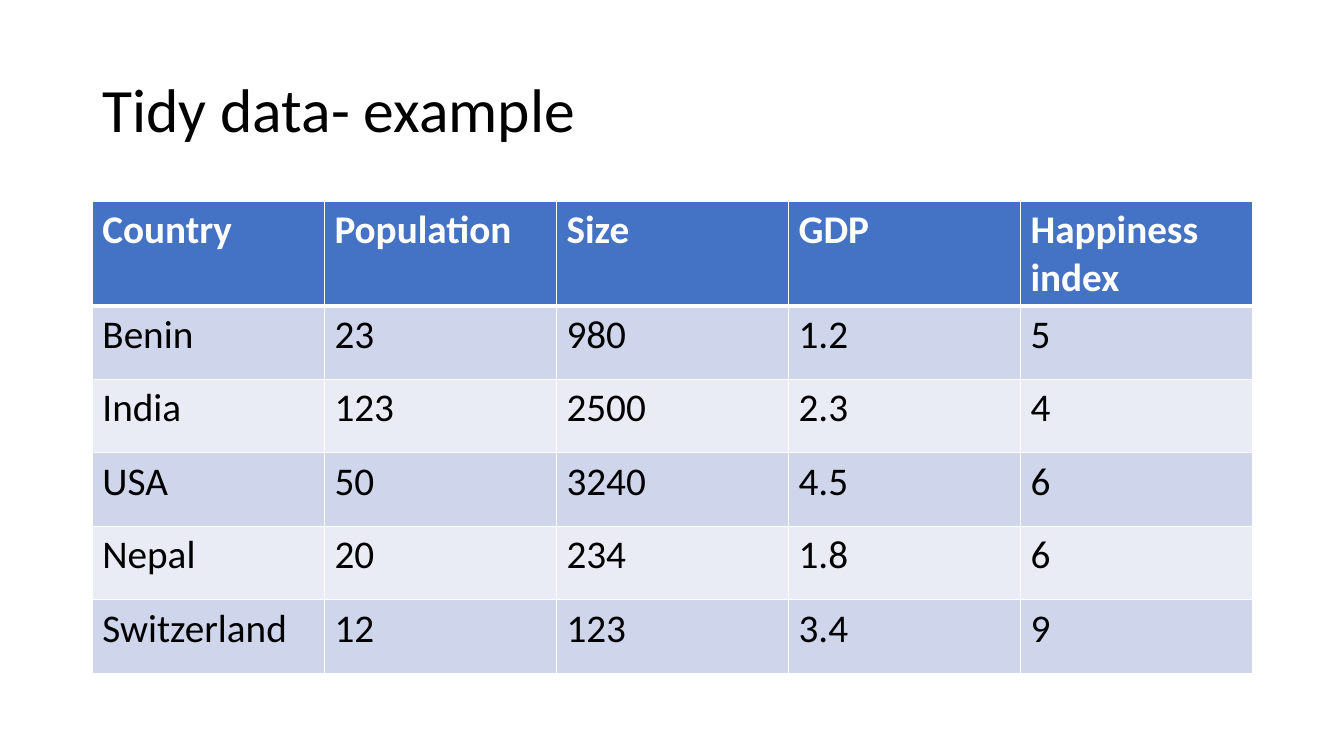
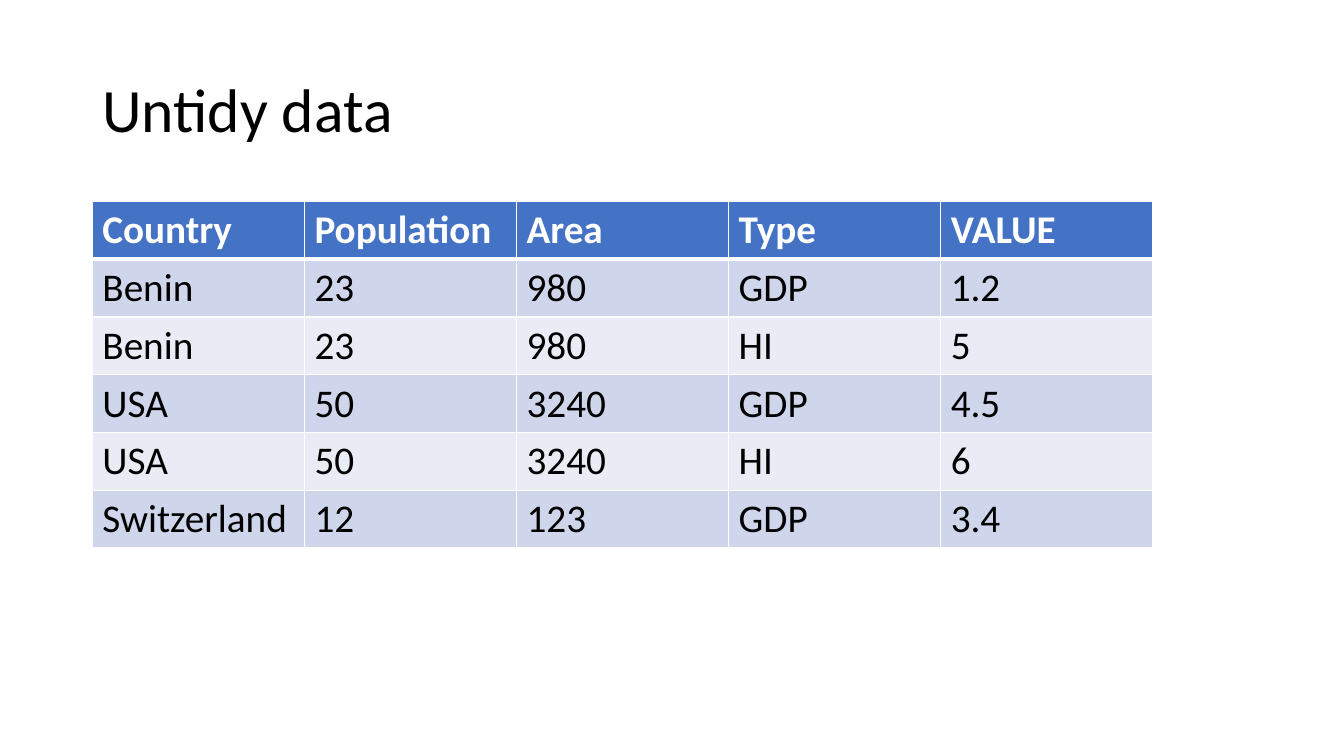
"""Build two slides that contrast tidy and untidy data tables."""
from dataclasses import dataclass

from lxml.etree import SubElement
from pptx import Presentation
from pptx.dml.color import RGBColor
from pptx.enum.text import MSO_ANCHOR
from pptx.oxml.ns import qn
from pptx.util import Emu, Pt

EMU_PER_PX = 9525


@dataclass(frozen=True)
class Theme:
    """Colours, font and type sizes shared by the slides."""

    font: str = "Calibri"
    title_size: int = 44
    table_size: int = 28
    text: str = "000000"
    header_text: str = "FFFFFF"
    header_fill: str = "4472C4"
    bands: tuple = ("CFD5EA", "E9EBF5")
    background: str = "FFFFFF"
    border: str = "FFFFFF"
    thin_border: int = 1
    thick_border: int = 3


def px(length):
    """Turn whole pixels into EMU."""
    return Emu(length * EMU_PER_PX)


class Deck:
    """Hold the style and the current slide, and draw its elements."""

    LEFT = 88
    WIDTH = 1104

    def __init__(self, theme):
        """Start an empty widescreen presentation."""
        self.theme = theme
        self.presentation = Presentation()
        self.presentation.slide_width = px(1280)
        self.presentation.slide_height = px(720)
        self.slide = None

    def add_slide(self, title):
        """Start a blank slide with a title."""
        self.slide = self.presentation.slides.add_slide(self.presentation.slide_layouts[6])
        fill = self.slide.background.fill
        fill.solid()
        fill.fore_color.rgb = RGBColor.from_string(self.theme.background)
        self.add_title(title)

    def style(self, paragraph, size, color, bold=False):
        """Set the font of a paragraph."""
        font = paragraph.font
        font.name = self.theme.font
        font.size = Pt(size)
        font.bold = bold
        font.color.rgb = RGBColor.from_string(color)

    def add_title(self, text):
        """Place the title, centred vertically in its band."""
        shape = self.slide.shapes.add_textbox(px(self.LEFT), px(38), px(self.WIDTH), px(139))
        frame = shape.text_frame
        frame.word_wrap = True
        frame.vertical_anchor = MSO_ANCHOR.MIDDLE
        paragraph = frame.paragraphs[0]
        paragraph.text = text
        paragraph.line_spacing = 0.9
        self.style(paragraph, self.theme.title_size, self.theme.text)

    def add_borders(self, cell, top, bottom):
        """Draw the four borders of a table cell."""
        properties = cell._tc.get_or_add_tcPr()
        thin = self.theme.thin_border
        for side, width in (("L", thin), ("R", thin), ("T", top), ("B", bottom)):
            line = SubElement(properties, qn(f"a:ln{side}"), w=str(Pt(width)))
            fill = SubElement(line, qn("a:solidFill"))
            SubElement(fill, qn("a:srgbClr"), val=self.theme.border)

    def add_cell(self, cell, text, row_index):
        """Fill one cell in the header or band style of its row."""
        theme = self.theme
        header = row_index == 0
        thin, thick = theme.thin_border, theme.thick_border
        self.add_borders(cell, thick if row_index == 1 else thin, thick if header else thin)
        color = theme.header_fill if header else theme.bands[(row_index - 1) % 2]
        cell.fill.solid()
        cell.fill.fore_color.rgb = RGBColor.from_string(color)
        paragraph = cell.text_frame.paragraphs[0]
        paragraph.text = text
        self.style(paragraph, theme.table_size, theme.header_text if header else theme.text, header)

    def add_table(self, rows, column_width, row_height, header_height):
        """Place a banded table with equal columns and body rows."""
        column_count = len(rows[0])
        height = header_height + row_height * (len(rows) - 1)
        table = self.slide.shapes.add_table(
            len(rows), column_count, px(self.LEFT), px(192),
            px(column_width * column_count), px(height),
        ).table
        for column in table.columns:
            column.width = px(column_width)
        for row_index, values in enumerate(rows):
            table.rows[row_index].height = px(row_height if row_index else header_height)
            for column_index, text in enumerate(values):
                self.add_cell(table.cell(row_index, column_index), text, row_index)


TIDY_ROWS = (
    ("Country", "Population", "Size", "GDP", "Happiness index"),
    ("Benin", "23", "980", "1.2", "5"),
    ("India", "123", "2500", "2.3", "4"),
    ("USA", "50", "3240", "4.5", "6"),
    ("Nepal", "20", "234", "1.8", "6"),
    ("Switzerland", "12", "123", "3.4", "9"),
)

UNTIDY_ROWS = (
    ("Country", "Population", "Area", "Type", "VALUE"),
    ("Benin", "23", "980", "GDP", "1.2"),
    ("Benin", "23", "980", "HI", "5"),
    ("USA", "50", "3240", "GDP", "4.5"),
    ("USA", "50", "3240", "HI", "6"),
    ("Switzerland", "12", "123", "GDP", "3.4"),
)


def main():
    """Build and save the slides."""
    deck = Deck(Theme())
    deck.add_slide("Tidy data- example")
    deck.add_table(TIDY_ROWS, column_width=221, row_height=70, header_height=99)
    deck.add_slide("Untidy data")
    deck.add_table(UNTIDY_ROWS, column_width=202, row_height=55, header_height=55)
    deck.presentation.save("out.pptx")


if __name__ == "__main__":
    main()
